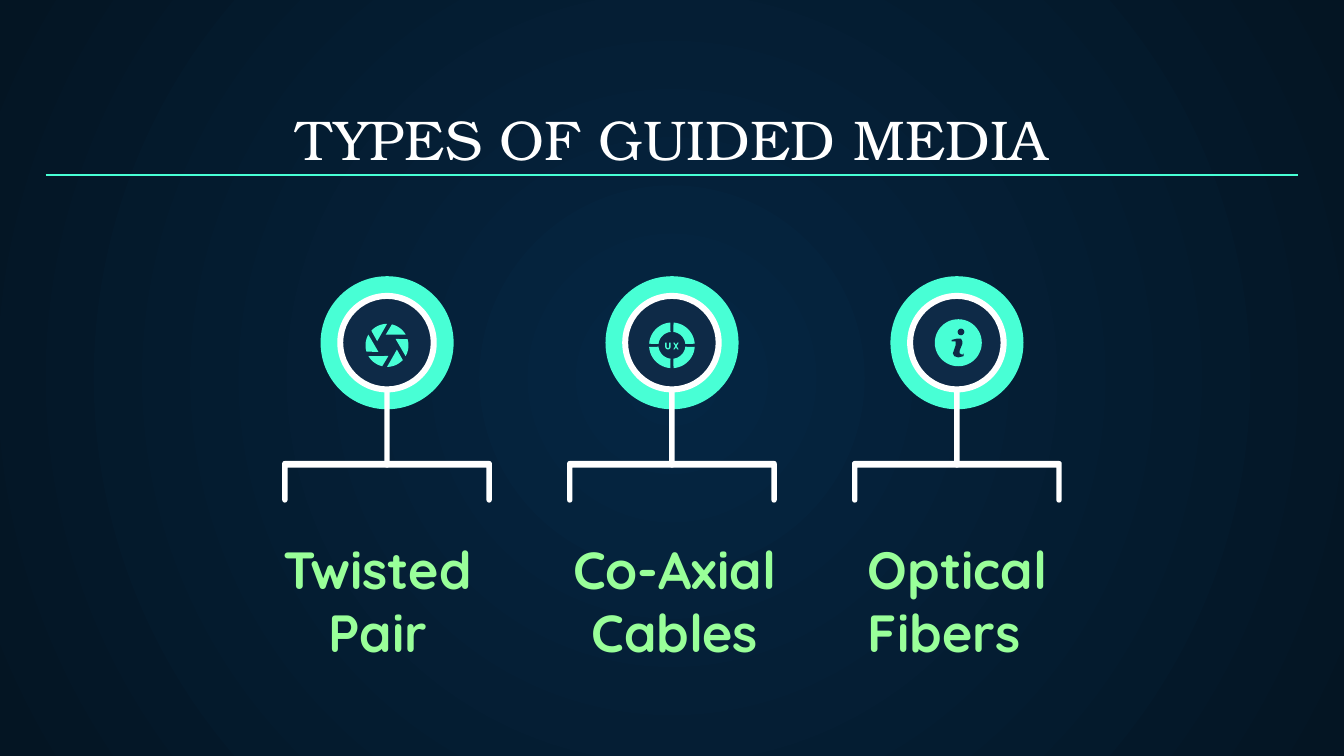
import math
import pptx
import pptx.dml.color
import pptx.enum.shapes
import pptx.enum.text
import pptx.util
from lxml import etree

Inches = pptx.util.Inches
Pt = pptx.util.Pt
RGB = pptx.dml.color.RGBColor.from_string
Shape = pptx.enum.shapes.MSO_SHAPE
Align = pptx.enum.text.PP_ALIGN
Anchor = pptx.enum.text.MSO_ANCHOR

HUES = {"glow": "052643", "edge": "041523", "teal": "48FFD5",
        "navy": "0E2A47", "white": "FFFFFF", "green": "99FF99"}
TITLE = {"name": "TeX Gyre Bonum", "size": Pt(30)}
LABEL = {"name": "Quicksand", "size": Pt(28), "bold": True}
NS = "http://schemas.openxmlformats.org/drawingml/2006/main"
MID = 2.55


def tag(parent, name, **attrs):
    return etree.SubElement(parent, f"{{{NS}}}{name}", attrs)


def paint(shape, hue):
    shape.shadow.inherit = False
    shape.fill.solid()
    shape.fill.fore_color.rgb = RGB(HUES[hue])
    shape.line.fill.background()


def preset(slide, kind, box, hue, adjust=None):
    shape = slide.shapes.add_shape(kind, *map(Inches, box))
    if adjust is not None:
        shape.adjustments[0] = adjust
    paint(shape, hue)


def disc(slide, x, y, size, hue, kind=Shape.OVAL, adjust=None):
    box = (x - size / 2, y - size / 2, size, size)
    preset(slide, kind, box, hue, adjust)


def arc(x, y, radius, start, stop, steps=12):
    turns = [math.radians(start + (stop - start) * i / steps)
             for i in range(steps + 1)]
    return [(x + radius * math.cos(t), y + radius * math.sin(t))
            for t in turns]


def outline(slide, points, hue):
    spots = [(Inches(x), Inches(y)) for x, y in points]
    pen = slide.shapes.build_freeform(*spots[0], scale=1.0)
    pen.add_line_segments(spots[1:], close=True)
    paint(pen.convert_to_shape(), hue)


def text(slide, box, words, form, hue, align=Align.CENTER, anchor=Anchor.TOP):
    frame = slide.shapes.add_textbox(*map(Inches, box)).text_frame
    frame.word_wrap = True
    frame.vertical_anchor = anchor
    for side in ("margin_top", "margin_bottom"):
        setattr(frame, side, Inches(0.08 if anchor == Anchor.BOTTOM else 0.05))
    para = frame.paragraphs[0]
    para.alignment = align
    run = para.add_run()
    run.text = words
    for key, value in form.items():
        setattr(run.font, key, value)
    run.font.color.rgb = RGB(HUES[hue])


def rule(slide, start, stop, hue, width):
    line = slide.shapes.add_connector(
        pptx.enum.shapes.MSO_CONNECTOR.STRAIGHT,
        *map(Inches, start + stop))
    line.line.color.rgb = RGB(HUES[hue])
    line.line.width = Pt(width)
    tag(line._element.spPr, "effectLst")


def backdrop(slide):
    fill = slide.background.fill
    fill.gradient()
    for stop, hue in zip(fill.gradient_stops, ("glow", "edge")):
        stop.color.rgb = RGB(HUES[hue])
    grad = next(slide._element.iter(f"{{{NS}}}gradFill"))
    grad.remove(grad.find(f"{{{NS}}}lin"))
    way = tag(grad, "path", path="circle")
    tag(way, "fillToRect", l="50000", t="50000", r="50000", b="50000")


def bracket(slide, x):
    half, thick, top, foot = 0.78, 0.04, 3.43, 3.72
    r = thick / 2
    left, right = x - half + r, x + half - r
    points = (arc(left, top + r, r, 180, 270, 4)
              + arc(right, top + r, r, 270, 360, 4)
              + arc(right, foot, r, 0, 180, 6)
              + [(right - r, 3.48), (left + r, 3.48)]
              + arc(left, foot, r, 0, 180, 6))
    outline(slide, points, "white")


def badge(slide, x):
    bracket(slide, x)
    disc(slide, x, MID, 0.99, "teal")
    preset(slide, Shape.ROUNDED_RECTANGLE, (x - 0.02, 2.48, 0.04, 1),
           "white", 0.5)
    disc(slide, x, MID, 0.7, "navy")
    disc(slide, x, MID, 0.74, "white", Shape.DONUT, 0.06)


def shutter(slide, x):
    y = 2.57
    for turn in range(0, 360, 60):
        blade = arc(x, y, 0.16, turn - 90, turn - 137)
        tip = arc(x, y, 0.08, turn - 157, turn - 157, 1)
        outline(slide, blade + tip[:1], "teal")


def target(slide, x):
    y = 2.57
    for turn in range(0, 360, 90):
        outline(slide, arc(x, y, 0.17, turn + 4, turn + 86)
                + arc(x, y, 0.1, turn + 84, turn + 6), "teal")
    cup = (arc(x - 0.03, y + 0.01, 0.02, 180, 0)
           + [(x - 0.01, 2.55), (x - 0.02, 2.55)]
           + arc(x - 0.03, y + 0.01, 0.01, 0, 180)
           + [(x - 0.04, 2.55), (x - 0.05, 2.55)])
    outline(slide, cup, "teal")
    for side in (-1, 1):
        mid = x + 0.03
        bar = [(mid - side * 0.02, 2.55), (mid - side * 0.01, 2.55),
               (mid + side * 0.02, 2.6), (mid + side * 0.01, 2.6)]
        outline(slide, bar, "teal")


def info(slide, x):
    disc(slide, x + 0.01, MID, 0.35, "teal")
    disc(slide, x + 0.03, 2.47, 0.05, "navy")
    stem = [(-0.04, 2.53), (0, 2.52), (0.03, 2.52), (0.04, 2.54),
            (0.04, 2.56), (0.02, 2.61), (0.02, 2.63), (0.04, 2.64),
            (0.05, 2.63), (0.05, 2.65), (0.01, 2.66), (-0.02, 2.65),
            (-0.03, 2.63), (-0.01, 2.57), (-0.01, 2.54), (-0.04, 2.54)]
    outline(slide, [(x + dx, y) for dx, y in stem], "navy")


def main():
    deck = pptx.Presentation()
    deck.slide_width = Inches(10)
    deck.slide_height = deck.slide_width * 9 // 16
    slide = deck.slides.add_slide(deck.slide_layouts[6])
    backdrop(slide)
    text(slide, (0.34, 0.7, 9.32, 0.66), "TYPES OF GUIDED MEDIA",
         TITLE, "white", anchor=Anchor.BOTTOM)
    rule(slide, (0.34, 1.3), (9.66, 1.3), "teal", 1)
    kinds = [("Twisted Pair", shutter, 1.88, 1.86, Align.CENTER),
             ("Co-Axial Cables", target, 4.07, 1.9, Align.CENTER),
             ("Optical Fibers", info, 6.36, 1.64, Align.LEFT)]
    for i, (words, icon, left, width, align) in enumerate(kinds):
        x = 2.88 + 2.12 * i
        badge(slide, x)
        icon(slide, x)
        text(slide, (left, 3.95, width, 1.04), words, LABEL, "green", align)
    deck.save("out.pptx")


if __name__ == "__main__":
    main()
